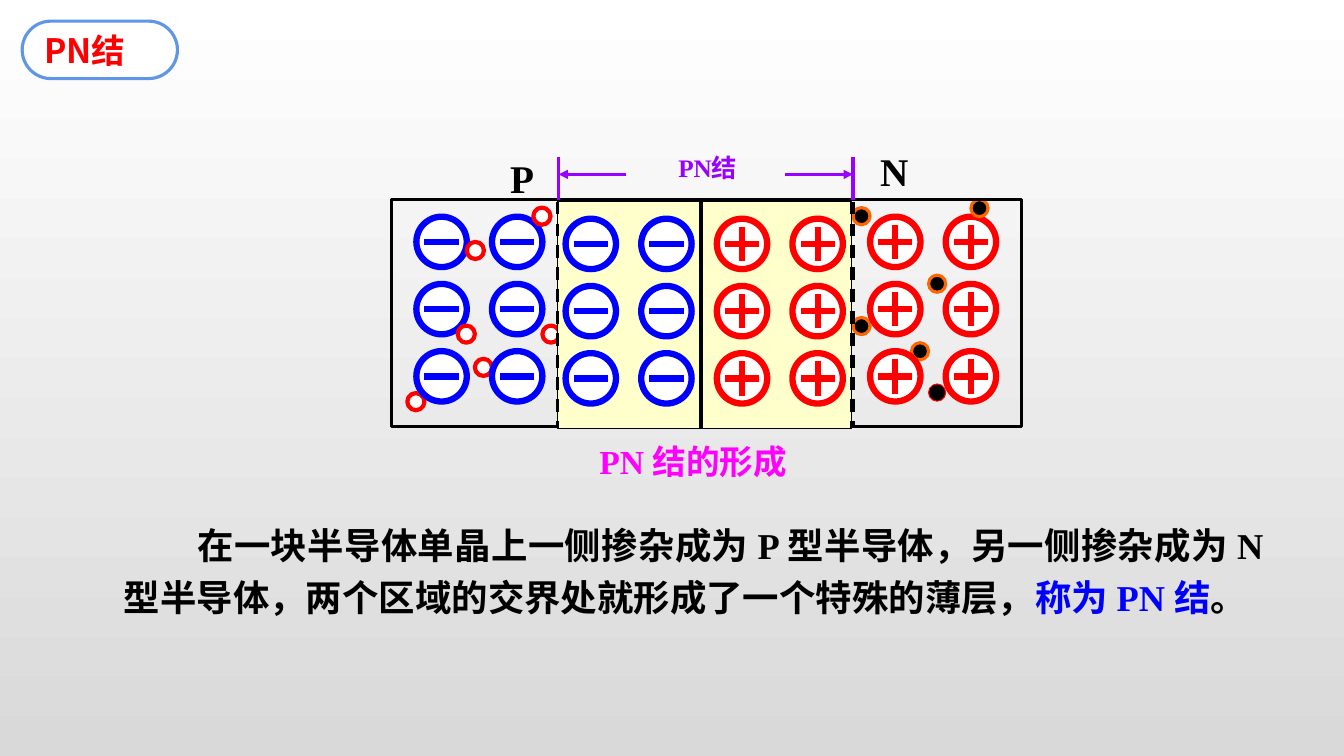
from lxml.etree import SubElement
from pptx import Presentation
from pptx.dml.color import RGBColor
from pptx.enum.dml import MSO_LINE
from pptx.enum.shapes import MSO_CONNECTOR, MSO_SHAPE as SHAPE
from pptx.enum.text import MSO_AUTO_SIZE, PP_ALIGN as ALIGN
from pptx.oxml.ns import qn
from pptx.util import Inches, Pt

BLACK = RGBColor(0x00, 0x00, 0x00)
WHITE = RGBColor(0xFF, 0xFF, 0xFF)
GREY = RGBColor(0xD9, 0xD9, 0xD9)
BLUE = RGBColor(0x00, 0x00, 0xFF)
RED = RGBColor(0xFF, 0x00, 0x00)
ORANGE = RGBColor(0xFF, 0x66, 0x00)
PURPLE = RGBColor(0x99, 0x00, 0xFF)
MAGENTA = RGBColor(0xFF, 0x00, 0xFF)
CREAM = RGBColor(0xFF, 0xFF, 0xCC)
SKY = RGBColor(0x60, 0x96, 0xE6)

SERIF = "Times New Roman"
SANS = "Noto Sans CJK SC"

ION = 0.5
CARRIER = 0.17
BAR_INSET = 0.08
ROW_PITCH = 0.667
COLUMN_PITCH = 0.75
ZONE_HEIGHT = 2.25


class Board:
    def __init__(self, slide):
        self.slide = slide
        self.layer = slide.shapes

    def background(self, top, bottom):
        fill = self.slide.background.fill
        fill.gradient()
        fill.gradient_angle = 270
        for stop, color in zip(fill.gradient_stops, (top, bottom)):
            stop.color.rgb = color

    def group(self):
        """Put the elements that follow into a new group."""
        self.layer = self.slide.shapes.add_group_shape().shapes

    def ungroup(self):
        self.layer = self.slide.shapes

    def shape(self, kind, left, top, width, height, fill, line, weight):
        shape = self.layer.add_shape(kind, Inches(left), Inches(top), Inches(width), Inches(height))
        shape.shadow.inherit = False
        if fill is None:
            shape.fill.background()
        else:
            shape.fill.solid()
            shape.fill.fore_color.rgb = fill
        shape.line.color.rgb = line
        shape.line.width = Pt(weight)
        return shape

    def line(self, x1, y1, x2, y2, color, weight, dash=False, arrow=False):
        line = self.layer.add_connector(
            MSO_CONNECTOR.STRAIGHT, Inches(x1), Inches(y1), Inches(x2), Inches(y2))
        line.line.color.rgb = color
        line.line.width = Pt(weight)
        if dash:
            line.line.dash_style = MSO_LINE.DASH
        properties = line._element.spPr
        if arrow:
            SubElement(properties.find(qn("a:ln")), qn("a:tailEnd"), type="triangle")
        SubElement(properties, qn("a:effectLst"))

    def text(self, left, top, width, height, runs, size, font=SERIF,
             align=ALIGN.LEFT, spacing=None, indent=0):
        """Write one bold paragraph; runs holds (words, color) pairs."""
        box = self.layer.add_textbox(Inches(left), Inches(top), Inches(width), Inches(height))
        frame = box.text_frame
        frame.word_wrap = True
        frame.auto_size = MSO_AUTO_SIZE.SHAPE_TO_FIT_TEXT
        paragraph = frame.paragraphs[0]
        paragraph.alignment = align
        if spacing:
            paragraph.line_spacing = spacing
        if indent:
            paragraph._p.get_or_add_pPr().set("indent", str(Inches(indent)))
        for words, color in runs:
            run = paragraph.add_run()
            run.text = words
            run.font.name = font
            run.font.size = Pt(size)
            run.font.bold = True
            run.font.color.rgb = color
            if font == SANS:
                SubElement(run._r.rPr, qn("a:ea"), typeface=font)

    def ions(self, left, top, cells, color):
        """Draw ions at the (column, row) cells: blue is negative, red positive."""
        for column, row in cells:
            x = left + column * COLUMN_PITCH
            y = top + row * ROW_PITCH
            self.shape(SHAPE.OVAL, x, y, ION, ION, WHITE, color, 4.5)
            middle_x, middle_y = x + ION / 2, y + ION / 2
            if color == RED:
                self.line(middle_x, y + BAR_INSET, middle_x, y + ION - BAR_INSET, color, 4.5)
            self.line(x + BAR_INSET, middle_y, x + ION - BAR_INSET, middle_y, color, 4.5)

    def carriers(self, places, fill, line, weight):
        for x, y in places:
            self.shape(SHAPE.OVAL, x, y, CARRIER, CARRIER, fill, line, weight)

    def borders(self, left, middle, right, top):
        self.line(middle, top, middle, top + ZONE_HEIGHT, BLACK, 3)
        for x in (left, right):
            self.line(x, top, x, top + ZONE_HEIGHT, BLACK, 2.25, dash=True)


def draw_crystal(board):
    board.group()
    board.ions(4.13, 2.15, [(0, 0), (1, 0), (0, 1), (1, 1)], BLUE)
    board.carriers([(4.63, 2.4), (5.38, 3.23), (4.71, 3.56), (4.54, 3.23),
                    (4.04, 3.9), (5.29, 2.06)], WHITE, RED, 3)
    board.ions(8.63, 2.15, [(1, 0)], RED)
    board.carriers([(8.46, 2.06), (9.21, 2.73), (9.63, 1.98), (9.04, 3.4),
                    (8.46, 3.15)], BLACK, ORANGE, 2.25)
    board.carriers([(9.21, 3.81)], BLACK, RED, 0.75)
    board.ions(8.63, 2.15, [(0, 0), (0, 1), (1, 1), (0, 2), (1, 2)], RED)
    board.ions(4.13, 2.15, [(0, 2), (1, 2)], BLUE)
    board.shape(SHAPE.RECTANGLE, 3.88, 1.98, 6.25, ZONE_HEIGHT, None, BLACK, 2.25)
    board.borders(5.54, 6.96, 8.46, 2)
    board.text(4.96, 1.48, 0.58, 0.57, [("P", BLACK)], 28)
    board.text(8.63, 1.41, 0.83, 0.57, [("N", BLACK)], 28)


def draw_junction(board):
    board.group()
    board.shape(SHAPE.RECTANGLE, 5.53, 2, 2.92, ZONE_HEIGHT, CREAM, BLACK, 0.75)
    cells = [(column, row) for row in range(3) for column in range(2)]
    board.ions(5.61, 2.17, cells, BLUE)
    board.ions(7.11, 2.17, cells, RED)
    board.borders(5.53, 6.95, 8.45, 2)


def draw_width_mark(board):
    board.group()
    for edge, start in ((5.54, 6.21), (8.46, 7.79)):
        board.line(edge, 1.56, edge, 1.98, PURPLE, 2.25)
        board.line(start, 1.73, edge, 1.73, PURPLE, 2.25, arrow=True)
    board.text(6.63, 1.46, 1, 0.5, [("PN结", PURPLE)], 18)


def draw_heading(board):
    board.group()
    pill = board.shape(SHAPE.ROUNDED_RECTANGLE, 0.22, 0.21, 1.54, 0.57, WHITE, SKY, 2.25)
    pill.adjustments[0] = 0.5
    board.text(0.34, 0.25, 1.36, 0.5, [("PN结", RED)], 24, font=SANS)


def main():
    deck = Presentation()
    deck.slide_width = Inches(13.33)
    deck.slide_height = Inches(7.5)
    board = Board(deck.slides.add_slide(deck.slide_layouts[6]))
    board.background(WHITE, GREY)
    explanation = [
        ("在一块半导体单晶上一侧掺杂成为 P 型半导体，另一侧掺杂成为 N 型半导体，"
         "两个区域的交界处就形成了一个特殊的薄层，", BLACK),
        ("称为 PN 结", BLUE),
        ("。", BLACK),
    ]
    board.text(1.13, 5.05, 11.5, 1.15, explanation, 26,
               align=ALIGN.JUSTIFY, spacing=1.2, indent=0.73)
    draw_crystal(board)
    draw_junction(board)
    draw_width_mark(board)
    board.ungroup()
    board.text(3.79, 4.33, 6.17, 0.5, [("PN 结的形成", MAGENTA)], 24, align=ALIGN.CENTER)
    draw_heading(board)
    deck.save("out.pptx")


if __name__ == "__main__":
    main()
